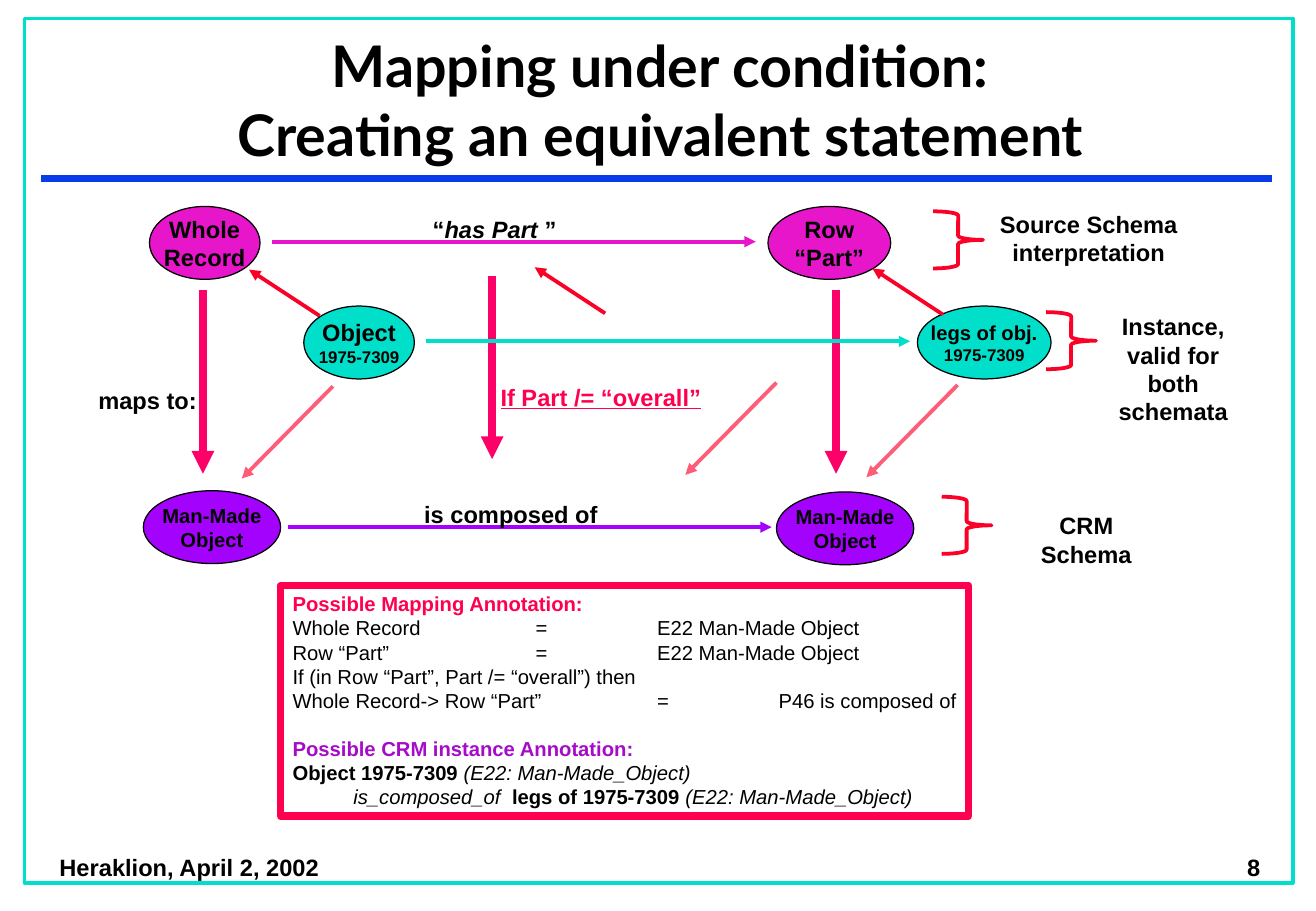
from lxml.etree import SubElement
from pptx import Presentation
from pptx.dml.color import RGBColor
from pptx.enum.shapes import MSO_CONNECTOR, MSO_SHAPE
from pptx.enum.text import MSO_ANCHOR, PP_ALIGN
from pptx.oxml.ns import qn
from pptx.util import Inches, Pt

BLACK, RED, PINK, SALMON = "000000", "FC0128", "FC0168", "FE5C77"
MAGENTA, TEAL, PURPLE, BLUE = "E816CA", "00DFCA", "A302FC", "063DE8"
CRIMSON, VIOLET = "FF0050", "A50BC9"


def color(value):
    return RGBColor.from_string(value)


def format_run(r, size, value=BLACK, bold=True, italic=False, underline=False, font="Arial"):
    r.font.name = font
    r.font.size = Pt(size)
    r.font.color.rgb = color(value)
    r.font.bold = bold
    r.font.italic = italic
    r.font.underline = underline


def fill_frame(tf, lines, align, anchor, wrap=False):
    """Each line is (text, size) or (text, size, run options)."""
    tf.word_wrap = wrap
    tf.vertical_anchor = anchor
    tf.text = "\n".join(line[0] for line in lines)
    for p, (_, size, *options) in zip(tf.paragraphs, lines):
        p.alignment = align
        for r in p.runs:
            format_run(r, size, **(options[0] if options else {}))


def add_text(s, x, y, w, h, lines, align=PP_ALIGN.CENTER, anchor=MSO_ANCHOR.TOP):
    sp = s.shapes.add_textbox(Inches(x), Inches(y), Inches(w), Inches(h))
    fill_frame(sp.text_frame, lines, align, anchor)
    return sp


def add_outline(s, kind, x, y, w, h, line, width, fill=None):
    sp = s.shapes.add_shape(kind, Inches(x), Inches(y), Inches(w), Inches(h))
    sp.shadow.inherit = False
    if fill:
        sp.fill.solid()
        sp.fill.fore_color.rgb = color(fill)
    else:
        sp.fill.background()
    sp.line.color.rgb = color(line)
    sp.line.width = Pt(width)
    return sp


def add_oval(s, x, y, w, fill, lines):
    sp = add_outline(s, MSO_SHAPE.OVAL, x, y, w, 0.6, BLACK, 0.75, fill)
    fill_frame(sp.text_frame, lines, PP_ALIGN.CENTER, MSO_ANCHOR.MIDDLE)


def add_line(s, x1, y1, x2, y2, value, width=2.25, arrow=True):
    line = s.shapes.add_connector(
        MSO_CONNECTOR.STRAIGHT, Inches(x1), Inches(y1), Inches(x2), Inches(y2))
    line.line.color.rgb = color(value)
    line.line.width = Pt(width)
    if arrow:
        SubElement(line.line._get_or_add_ln(), qn("a:tailEnd"), type="triangle")
    SubElement(line._element.spPr, qn("a:effectLst"))


def set_tabs(p, *stops):
    tabs = SubElement(p._p.get_or_add_pPr(), qn("a:tabLst"))
    for stop in stops:
        SubElement(tabs, qn("a:tab"), pos=str(Inches(stop)), algn="l")


def add_runs(p, runs):
    for text, options in runs:
        r = p.add_run()
        r.text = text
        format_run(r, **options)


def add_annotation(s):
    sp = add_outline(s, MSO_SHAPE.RECTANGLE, 2.31, 4.82, 5.66, 1.9, CRIMSON, 4.5)
    plain = {"bold": False}
    fill_frame(sp.text_frame, [
        ("Possible Mapping Annotation:", 12, {"value": CRIMSON}),
        ("Whole Record\t=\tE22 Man-Made Object", 12, plain),
        ("Row “Part”\t=\tE22 Man-Made Object", 12, plain),
        ("If (in Row “Part”, Part /= “overall”) then", 12, plain),
        ("Whole Record-> Row “Part”\t=\tP46 is composed of", 12, plain),
        ("Possible CRM instance Annotation:", 12, {"value": VIOLET}),
    ], PP_ALIGN.LEFT, MSO_ANCHOR.TOP, wrap=True)
    sp.text_frame.margin_right = 0
    _, whole, row, _, link, instance = sp.text_frame.paragraphs
    instance.space_before = Pt(13.8)
    set_tabs(whole, 2, 3)
    set_tabs(row, 2, 3)
    set_tabs(link, 3, 4)

    # Instance statement with mixed formatting
    bold, italic = {"size": 12}, {"size": 12, "bold": False, "italic": True}
    entity = ("(E22: Man-Made_Object)", italic)
    for indent, runs in (
        (0, [("Object 1975-7309 ", bold), entity]),
        (0.5, [("is_composed_of  ", italic), ("legs of 1975-7309 ", bold), entity]),
    ):
        p = sp.text_frame.add_paragraph()
        p.alignment = PP_ALIGN.LEFT
        p._p.get_or_add_pPr().set("marL", str(Inches(indent)))
        add_runs(p, runs)


def main():
    prs = Presentation()
    prs.slide_width, prs.slide_height = Inches(10.83), Inches(7.5)
    s = prs.slides.add_slide(prs.slide_layouts[6])

    # Frame, title and footer
    add_line(s, 0.34, 1.47, 10.47, 1.47, BLUE, 4, arrow=False)
    add_text(s, 0.39, 6.97, 2.35, 0.33, [("Heraklion, April 2, 2002", 14)], PP_ALIGN.LEFT)
    add_outline(s, MSO_SHAPE.RECTANGLE, 0.2, 0.15, 10.44, 7.12, TEAL, 2)
    title = {"font": "Lato"}
    add_text(s, 0.21, 0.14, 10.45, 1.29, [
        ("Mapping under condition:", 34, title),
        ("Creating an equivalent statement", 34, title),
    ], anchor=MSO_ANCHOR.BOTTOM)
    add_text(s, 8.22, 6.96, 2.25, 0.35, [("8", 14)], PP_ALIGN.RIGHT, MSO_ANCHOR.MIDDLE)

    # Mapping arrows from source schema down to CRM
    for x, y in ((1.67, 2.39), (4.05, 2.27), (6.88, 2.39)):
        add_line(s, x, y, x, y + 1.51, PINK, 4.5)

    # Entities
    add_oval(s, 1.23, 1.7, 0.91, MAGENTA, [("Whole", 14), ("Record", 14)])
    add_oval(s, 6.32, 1.7, 1.01, MAGENTA, [("Row", 14), ("“Part”", 14)])
    add_oval(s, 2.5, 2.52, 0.91, TEAL, [("Object", 14), ("1975-7309", 10)])
    add_oval(s, 7.55, 2.52, 1.1, TEAL, [("legs of obj.", 12), ("1975-7309", 10)])
    for x, y in ((1.18, 4.04), (6.39, 4.05)):
        add_oval(s, x, y, 1.13, PURPLE, [("Man-Made", 12), ("Object", 12)])

    # Relations between entities
    for x, y, value in ((2.24, 1.99, MAGENTA), (3.51, 2.81, TEAL), (2.37, 4.34, PURPLE)):
        add_line(s, x, y, x + 3.98, y, value)

    # Links from instances up to the source and down to CRM
    for x, y in ((2.63, 2.6), (4.98, 2.58), (7.76, 2.59)):
        add_line(s, x, y, x - 0.58, y - 0.38, RED)
    for x, y in ((2.74, 3.18), (6.39, 3.15), (7.88, 3.17)):
        add_line(s, x, y, x - 0.75, y + 0.76, SALMON)

    # Relation labels
    has_part = add_text(s, 3.46, 1.72, 1.22, 0.34, [("", 14)])
    add_runs(has_part.text_frame.paragraphs[0], [
        ("“", {"size": 14}),
        ("has Part ", {"size": 14, "italic": True}),
        ("”", {"size": 14}),
    ])
    add_text(s, 3.39, 4.07, 1.63, 0.34, [("is composed of", 14)])
    add_text(s, 0.71, 3.13, 1.01, 0.34, [("maps to:", 14)])
    add_text(s, 4.02, 3.1, 1.85, 0.34,
             [("If Part /= “overall”", 14, {"value": CRIMSON, "underline": True})])

    # Level braces and their captions
    for x, y in ((7.68, 1.74), (8.61, 2.57), (7.75, 4.09)):
        add_outline(s, MSO_SHAPE.RIGHT_BRACE, x, y, 0.41, 0.47, RED, 2.25)
    add_text(s, 8.13, 1.68, 1.66, 0.57, [("Source Schema", 14), ("interpretation", 14)])
    add_text(s, 8.94, 2.52, 1.43, 0.8,
             [("Instance,", 14), ("valid for both", 14), ("schemata", 14)])
    add_text(s, 8.22, 4.16, 1.44, 0.34, [("CRM Schema", 14)])

    add_annotation(s)
    prs.save("out.pptx")


if __name__ == "__main__":
    main()
